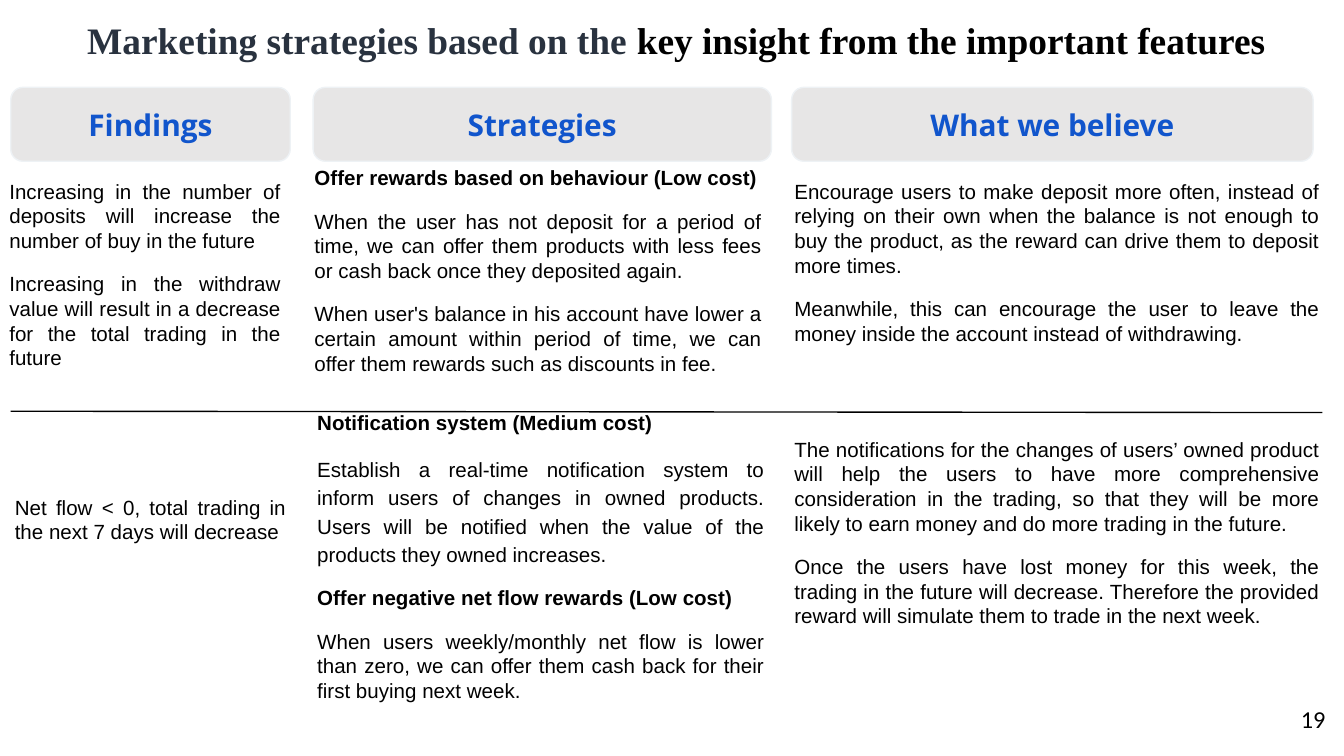
from lxml import etree
from pptx import Presentation
from pptx.dml.color import RGBColor
from pptx.enum.shapes import MSO_CONNECTOR, MSO_SHAPE
from pptx.enum.text import MSO_ANCHOR, PP_ALIGN
from pptx.oxml.ns import qn
from pptx.util import Inches, Pt

LEFT, CENTER, RIGHT, JUSTIFY = PP_ALIGN.LEFT, PP_ALIGN.CENTER, PP_ALIGN.RIGHT, PP_ALIGN.JUSTIFY
MIDDLE, TOP = MSO_ANCHOR.MIDDLE, MSO_ANCHOR.TOP
ROUNDED, STRAIGHT = MSO_SHAPE.ROUNDED_RECTANGLE, MSO_CONNECTOR.STRAIGHT
WIDTH = Inches(10)
HEIGHT = WIDTH * 9 // 16
COLS = 100
BLACK, SLATE, BLUE, GREY, PALE = "000000", "29323F", "1155CC", "E7E6E6", "EEF2F5"

HEADERS = [("Findings", 0.8, 20.8), ("Strategies", 23.3, 34.1), ("What we believe", 58.9, 38.8)]

CELLS = [
    ((0, 12.6, 21.6, 15.7), [
        ("Increasing in the number of deposits will increase the number of buy in the future", False, 1),
        ("Increasing in the withdraw value will result in a decrease for the total trading in the "
         "future", False, 1),
    ]),
    ((22.7, 11.6, 34.7, 17.3), [
        ("Offer rewards based on behaviour (Low cost)", True, 1),
        ("When the user has not deposit for a period of time, we can offer them products with less "
         "fees or cash back once they deposited again.", False, 1),
        ("When user's balance in his account have lower a certain amount within period of time, we "
         "can offer them rewards such as discounts in fee.", False, 1),
    ]),
    ((58.4, 12.6, 40.5, 14), [
        ("Encourage users to make deposit more often, instead of relying on their own when the "
         "balance is not enough to buy the product, as the reward can drive them to deposit more "
         "times.", False, 1),
        ("Meanwhile, this can encourage the user to leave the money inside the account instead of "
         "withdrawing.", False, 1),
    ]),
    ((0.4, 36.1, 21.6, 5.1), [
        ("Net flow < 0, total trading in the next 7 days will decrease", False, 1),
    ]),
    ((22.9, 29.8, 34.7, 23.5), [
        ("Notification system (Medium cost)", True, 1),
        ("Establish a real-time notification system to inform users of changes in owned products. "
         "Users will be notified when the value of the products they owned increases.", False, 1.15),
        ("Offer negative net flow rewards (Low cost)", True, 1),
        ("When users weekly/monthly net flow is lower than zero, we can offer them cash back for "
         "their first buying next week.", False, 1),
    ]),
    ((58.4, 31.8, 40.5, 15.9), [
        ("The notifications for the changes of users’ owned product will help the users to have "
         "more comprehensive consideration in the trading, so that they will be more likely to earn "
         "money and do more trading in the future.", False, 1),
        ("Once the users have lost money for this week, the trading in the future will decrease. "
         "Therefore the provided reward will simulate them to trade in the next week.", False, 1),
    ]),
]


def rgb(value):
    """Turn a hex string into a colour."""
    return RGBColor.from_string(value)


def grid(*units):
    """Turn counts of square grid units into lengths."""
    return [round(WIDTH * u / COLS) for u in units]


def set_frame(tf, inset_x, inset_y, anchor=TOP):
    """Set wrapping, insets and anchor of a text frame."""
    tf.word_wrap = True
    tf.vertical_anchor = anchor
    tf.margin_left = tf.margin_right = Inches(inset_x)
    tf.margin_top = tf.margin_bottom = Inches(inset_y)


def add_run(p, text, font, size, color, bold=False):
    """Add one styled run to a paragraph."""
    r = p.add_run()
    r.text = text
    r.font.name, r.font.size, r.font.bold = font, Pt(size), bold
    r.font.color.rgb = rgb(color)


def add_label(slide, box, align, runs):
    """Place a one-paragraph text box made of styled runs."""
    tf = slide.shapes.add_textbox(*grid(*box)).text_frame
    set_frame(tf, 0.1, 0.05)
    p = tf.paragraphs[0]
    p.alignment = align
    for run in runs:
        add_run(p, *run)


def add_header(slide, box, text):
    """Place a rounded column header in its box."""
    sp = slide.shapes.add_shape(ROUNDED, *grid(*box))
    sp.shadow.inherit = False
    sp.fill.solid()
    sp.fill.fore_color.rgb = rgb(GREY)
    sp.line.color.rgb = rgb(PALE)
    sp.line.width = Pt(0.75)
    set_frame(sp.text_frame, 0.07, 0.07, MIDDLE)
    p = sp.text_frame.paragraphs[0]
    p.alignment = CENTER
    add_run(p, text, "Open Sans", 16, BLUE, True)


def add_cell(slide, box, paragraphs):
    """Place the headings and justified paragraphs of one cell."""
    tf = slide.shapes.add_textbox(*grid(*box)).text_frame
    set_frame(tf, 0.07, 0.07)
    for i, (text, bold, spacing) in enumerate(paragraphs):
        p = tf.add_paragraph() if i else tf.paragraphs[0]
        p.alignment = LEFT if bold else JUSTIFY
        p.line_spacing = spacing
        p.space_before = Pt(10 if i else 0)
        add_run(p, text, "Arial", 11, BLACK, bold)


def add_divider(slide, ends):
    """Draw the thin line between the two rows."""
    line = slide.shapes.add_connector(STRAIGHT, *grid(*ends))
    line.line.color.rgb = rgb(BLACK)
    line.line.width = Pt(0.75)
    etree.SubElement(line._element.spPr, qn("a:effectLst"))


def main():
    """Build and save the slide."""
    prs = Presentation()
    prs.slide_width, prs.slide_height = WIDTH, HEIGHT
    slide = prs.slides.add_slide(prs.slide_layouts[6])
    add_label(slide, (5.5, 0.8, 93.2, 5.5), JUSTIFY, [
        ("Marketing strategies based on the ", "Times New Roman", 20, SLATE, True),
        ("key insight from the important features", "Times New Roman", 20, BLACK, True),
    ])
    for text, left, width in HEADERS:
        add_header(slide, (left, 6.5, width, 5.5), text)
    add_divider(slide, (0.8, 30.6, 98.4, 30.7))
    for box, paragraphs in CELLS:
        add_cell(slide, box, paragraphs)
    add_label(slide, (93.6, 51.9, 6, 4.3), RIGHT, [("19", "Calibri", 13, BLACK)])
    prs.save("out.pptx")


if __name__ == "__main__":
    main()
